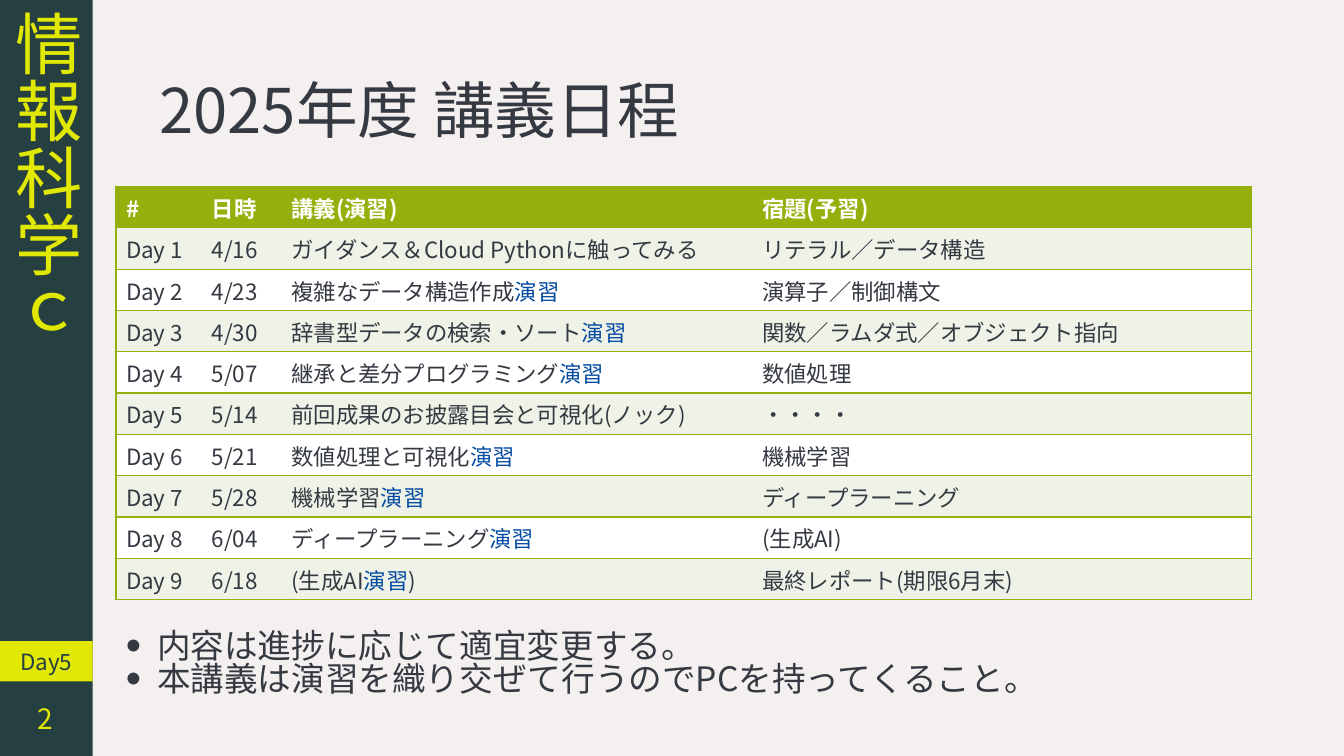
from lxml import etree
from pptx import Presentation
from pptx import util as u
from pptx.dml.color import RGBColor
from pptx.enum import shapes, text
from pptx.oxml import ns

PX = 9144
FONT = "Noto Sans CJK JP"
BACKGROUND = RGBColor(0xF4, 0xF0, 0xF0)
DARK = RGBColor(0x26, 0x3F, 0x41)
YELLOW = RGBColor(0xE0, 0xE8, 0x04)
INK = RGBColor(0x35, 0x39, 0x41)
GREEN = RGBColor(0x95, 0xB0, 0x0D)
PALE = RGBColor(0xEF, 0xF2, 0xE7)
WHITE = RGBColor(0xFF, 0xFF, 0xFF)
BLUE = RGBColor(0x03, 0x4A, 0xA1)
EXERCISE = "演習"


def style(paragraph, size, color, bold=False):
    font = paragraph.font
    font.name, font.size, font.bold = FONT, u.Pt(size), bold
    font.color.rgb = color
    east_asian = etree.SubElement(font._element, ns.qn("a:ea"))
    east_asian.set("typeface", FONT)


def add_box(left, top, width, height, words, size, color, fill=None):
    box = [length * PX for length in (left, top, width, height)]
    if fill is None:
        shape = slide.shapes.add_textbox(*box)
    else:
        shape = slide.shapes.add_shape(shapes.MSO_SHAPE.RECTANGLE, *box)
        shape.shadow.inherit = False
        shape.fill.solid()
        shape.fill.fore_color.rgb = fill
        shape.line.fill.background()
    frame = shape.text_frame
    frame.word_wrap = True
    frame.vertical_anchor = text.MSO_ANCHOR.MIDDLE
    frame.text = words
    for paragraph in frame.paragraphs:
        style(paragraph, size, color)
    return frame


presentation = Presentation()
presentation.slide_width = 1333 * PX
presentation.slide_height = 750 * PX
slide = presentation.slides.add_slide(presentation.slide_layouts[6])
slide.background.fill.solid()
slide.background.fill.fore_color.rgb = BACKGROUND

course = add_box(0, 0, 92, 750, "情報科学ｃ", 48, YELLOW, DARK)
course.paragraphs[0].alignment = text.PP_ALIGN.CENTER
course._txBody.bodyPr.set("vert", "eaVert")

title = add_box(148, 40, 1093, 145, "2025年度 講義日程", 44, INK)
title.paragraphs[0].line_spacing = 0.9

schedule = [
    ("#", "日時", ["講義(演習)"], "宿題(予習)"),
    ("Day 1", "4/16", ["ガイダンス＆Cloud Pythonに触ってみる"], "リテラル／データ構造"),
    ("Day 2", "4/23", ["複雑なデータ構造作成", EXERCISE], "演算子／制御構文"),
    ("Day 3", "4/30", ["辞書型データの検索・ソート", EXERCISE], "関数／ラムダ式／オブジェクト指向"),
    ("Day 4", "5/07", ["継承と差分プログラミング", EXERCISE], "数値処理"),
    ("Day 5", "5/14", ["前回成果のお披露目会と可視化(ノック)"], "・・・・"),
    ("Day 6", "5/21", ["数値処理と可視化", EXERCISE], "機械学習"),
    ("Day 7", "5/28", ["機械学習", EXERCISE], "ディープラーニング"),
    ("Day 8", "6/04", ["ディープラーニング", EXERCISE], "(生成AI)"),
    ("Day 9", "6/18", ["(生成AI", EXERCISE, ")"], "最終レポート(期限6月末)"),
]
widths = [85, 79, 467, 495]
table = slide.shapes.add_table(
    len(schedule), len(widths), 115 * PX, 185 * PX, sum(widths) * PX, 410 * PX
).table
table.horz_banding = False
table._tbl.tblPr.find(ns.qn("a:tableStyleId")).text = "{2D5ABB26-0587-4C30-8999-92F81FD0307C}"
for column, width in zip(table.columns, widths):
    column.width = width * PX

for row_index, (day, date, lecture, homework) in enumerate(schedule):
    table.rows[row_index].height = 41 * PX
    header = row_index == 0
    for column_index, parts in enumerate([[day], [date], lecture, [homework]]):
        cell = table.cell(row_index, column_index)
        sides = ["L"] * (column_index == 0) + ["R"] * (column_index == 3) + ["T", "B"]
        properties = cell._tc.get_or_add_tcPr()
        for side in sides:
            border = etree.SubElement(properties, ns.qn("a:ln" + side), w="12700")
            solid = etree.SubElement(border, ns.qn("a:solidFill"))
            etree.SubElement(solid, ns.qn("a:srgbClr"), val=str(GREEN))
        cell.fill.solid()
        cell.fill.fore_color.rgb = GREEN if header else PALE if row_index % 2 else WHITE
        paragraph = cell.text_frame.paragraphs[0]
        style(paragraph, 16, WHITE if header else INK, header)
        for part in parts:
            run = paragraph.add_run()
            run.text = part
            if part == EXERCISE:
                run.font.color.rgb = BLUE

day_label = add_box(0, 636, 92, 40, "Day5", 16, DARK, YELLOW)
day_label.paragraphs[0].alignment = text.PP_ALIGN.CENTER

page_number = add_box(0, 676, 92, 74, "2", 20, YELLOW)
page_number.margin_right = 39 * PX
page_number.paragraphs[0].alignment = text.PP_ALIGN.RIGHT

remarks = "内容は進捗に応じて適宜変更する。\n本講義は演習を織り交ぜて行うのでPCを持ってくること。"
notes = add_box(115, 619, 1179, 91, remarks, 24, INK)
notes.vertical_anchor = text.MSO_ANCHOR.TOP
notes.margin_top = 8 * PX
for paragraph in notes.paragraphs:
    paragraph.line_spacing = 0.82
    properties = paragraph._p.get_or_add_pPr()
    properties.set("marL", str(31 * PX))
    properties.set("indent", str(-31 * PX))
    bullet_size = etree.Element(ns.qn("a:buSzPct"), val="130000")
    bullet_font = etree.Element(ns.qn("a:buFont"), typeface="Arial")
    bullet = etree.Element(ns.qn("a:buChar"), char="•")
    for element in (bullet_size, bullet_font, bullet):
        properties.find(ns.qn("a:defRPr")).addprevious(element)

presentation.save("out.pptx")
